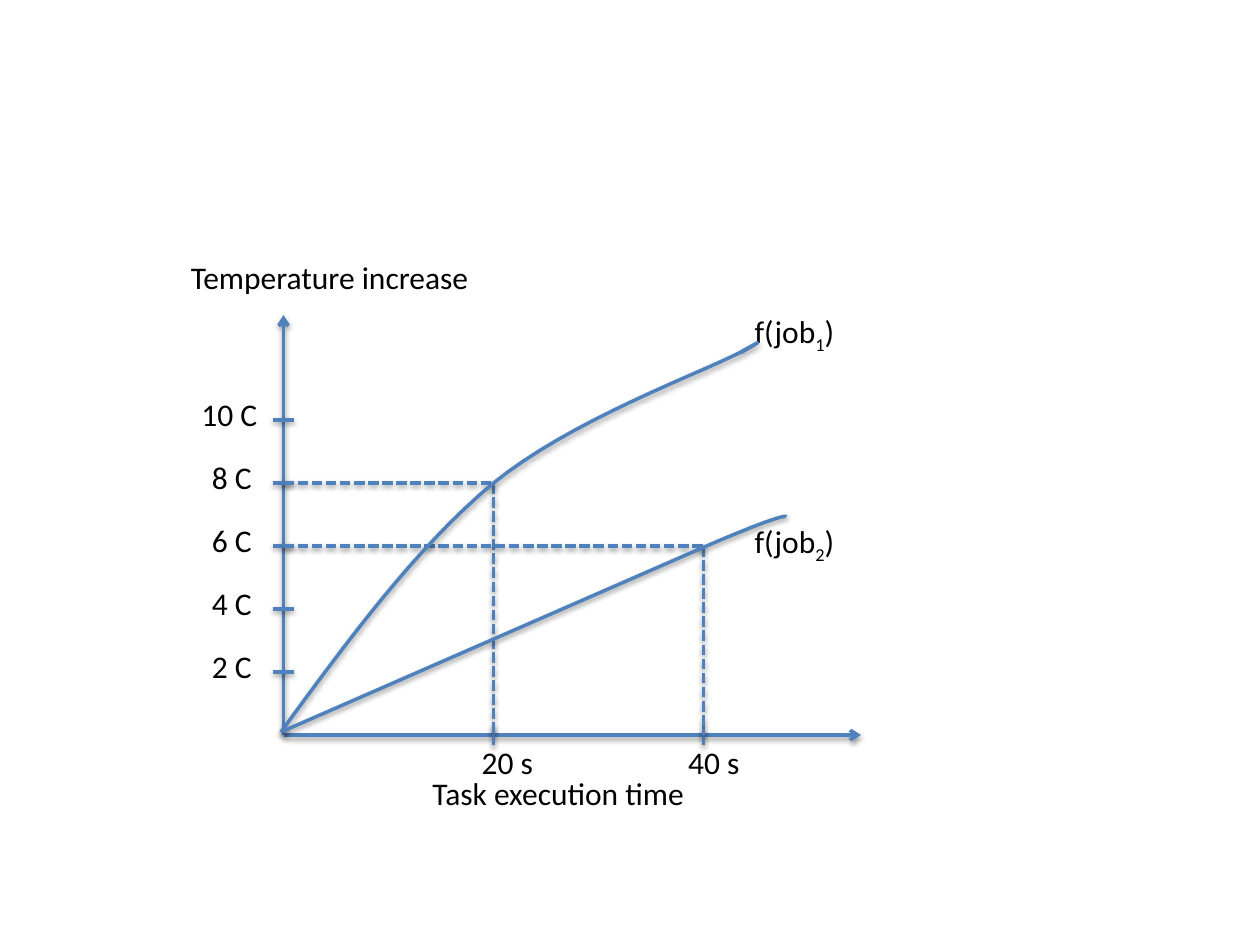
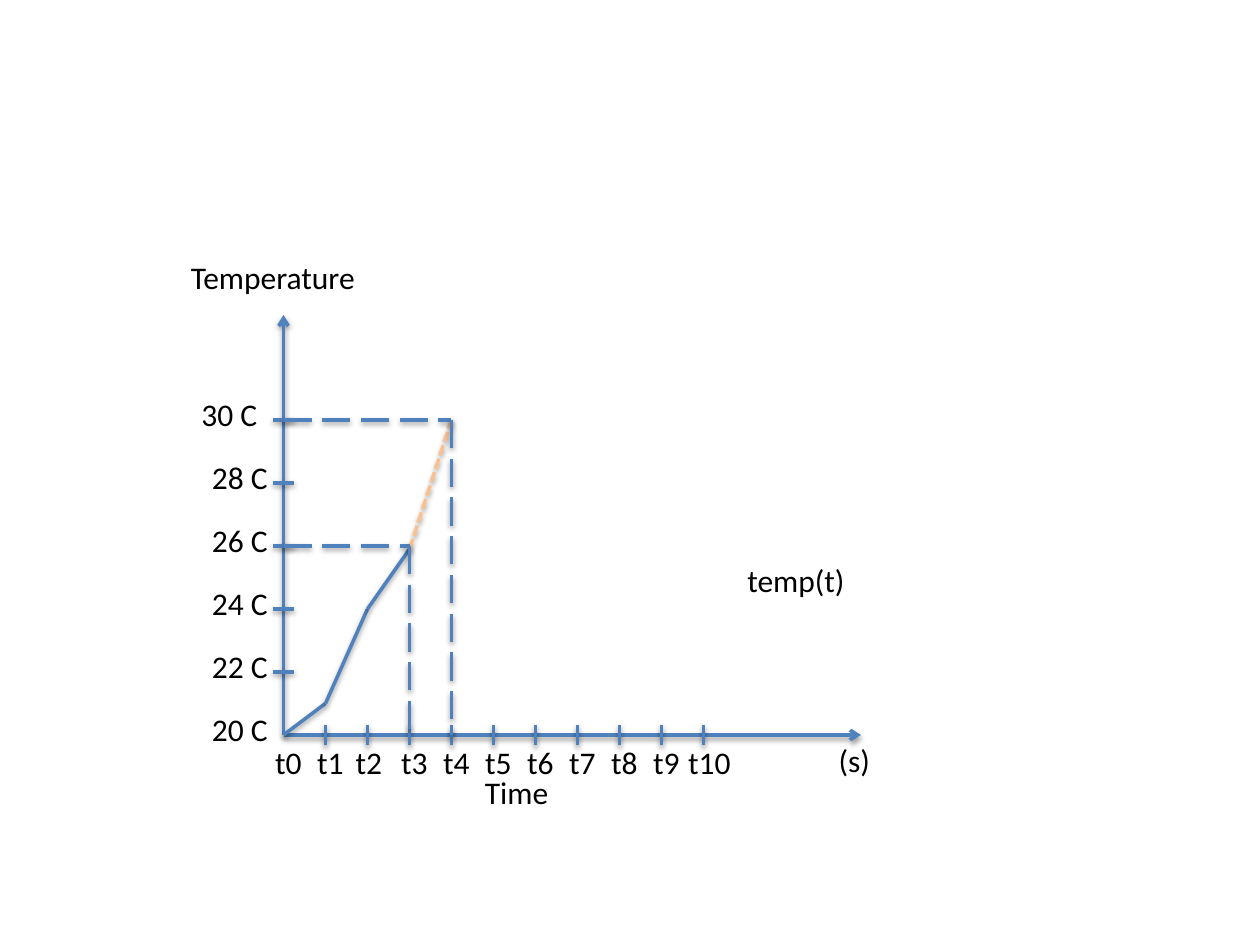
from lxml import etree
from pptx import Presentation
from pptx.dml.color import RGBColor
from pptx.enum import dml, shapes, text
from pptx.oxml import ns, parse_xml
from pptx.util import Pt

BLUE = RGBColor(0x4F, 0x81, 0xBD)
PEACH = RGBColor(0xFA, 0xC0, 0x90)
BLACK = RGBColor(0, 0, 0)
SHORT = dml.MSO_LINE.SQUARE_DOT
LONG = dml.MSO_LINE.LONG_DASH

LEFT, BASE = 162, 420
STEP, RISE = 24, 36
TICK = 6

SHADOW = (
    f'<a:effectLst {ns.nsdecls("a")}>'
    f'<a:outerShdw blurRad="{Pt(3.1)}" dist="{Pt(1.6)}" dir="5400000" rotWithShape="0">'
    '<a:srgbClr val="000000"><a:alpha val="38000"/></a:srgbClr>'
    '</a:outerShdw></a:effectLst>'
)


def place(col, row):
    return LEFT + STEP * col, BASE - RISE * row


def ink(shape, color=BLUE, dash=None, arrow=False):
    line = shape.line
    line.color.rgb = color
    line.width = Pt(2)
    if dash:
        line.dash_style = dash
    props = shape._element.spPr
    if arrow:
        etree.SubElement(props.find(ns.qn("a:ln")), ns.qn("a:tailEnd"), type="arrow")
    props.append(parse_xml(SHADOW))


def rule(slide, start, end, **style):
    ends = [Pt(v) for v in (*start, *end)]
    ink(slide.shapes.add_connector(shapes.MSO_CONNECTOR.STRAIGHT, *ends), **style)


def label(slide, x, y, width, words, inset=0, sub="", rest=""):
    box = slide.shapes.add_textbox(Pt(x), Pt(y), Pt(width), Pt(29))
    frame = box.text_frame
    frame.word_wrap = True
    frame.auto_size = text.MSO_AUTO_SIZE.SHAPE_TO_FIT_TEXT
    frame.margin_left = Pt(7.2 + inset)
    para = frame.paragraphs[0]
    para.font.name, para.font.size = "Calibri", Pt(18)
    para.font.color.rgb = BLACK
    para.add_run().text = words
    if sub:
        low = para.add_run()
        low.text = sub
        low._r.get_or_add_rPr().set("baseline", "-25000")
        para.add_run().text = rest


def bend(a, b, c, d, count=16):
    for n in range(1, count + 1):
        t = n / count
        s = 1 - t
        yield tuple(s**3 * p + 3 * s * s * t * q + 3 * s * t * t * r + t**3 * e
                    for p, q, r, e in zip(a, b, c, d))


def curve(slide, points):
    first, *more = [(Pt(x), Pt(y)) for x, y in points]
    pen = slide.shapes.build_freeform(*first)
    pen.add_line_segments(more, close=False)
    shape = pen.convert_to_shape()
    shape.fill.background()
    ink(shape)


def axes(slide, title, marks, cols):
    rule(slide, (LEFT, BASE), (492, BASE), arrow=True)
    rule(slide, (LEFT, BASE), (LEFT, 180), arrow=True)
    label(slide, 102, 144, 210, title)
    for row, mark in marks.items():
        x, y = place(0, row)
        if row:
            rule(slide, (x - TICK, y), (x + TICK, y))
        label(slide, 108 if row == 5 else 114, y - 18, 54, mark)
    for col in cols:
        x, y = place(col, 0)
        rule(slide, (x, y - TICK), (x, y + TICK))


def drop(slide, col, row, dash):
    spot = place(col, row)
    rule(slide, place(0, row), spot, dash=dash)
    rule(slide, spot, place(col, 0), dash=dash)


def jobs(slide):
    axes(slide, "Temperature increase", {n: f"{2 * n} C" for n in range(1, 6)}, (5, 10))
    label(slide, 264, 421, 60, "20 s", 4)
    label(slide, 378, 421, 60, "40 s", 8)
    label(slide, 240, 439, 228, "Task execution time")
    drop(slide, 5, 4, SHORT)
    drop(slide, 10, 3, SHORT)
    label(slide, 420, 175, 90, "f(job", 4, "1", ")")
    label(slide, 420, 295, 72, "f(job", 4, "2", ")")
    start, knee, top, tip = (160.6, 418.3), (281.5, 276.5), (422.6, 201.6), (423.4, 201.6)
    curve(slide, [start,
                  *bend(start, (199.4, 365), (238.3, 312.5), knee),
                  *bend(knee, (325.4, 240.5), (398.9, 213.8), top),
                  *bend(top, (445.7, 188.6), tip, tip)])
    turn, end = (401, 313.2), (449.3, 295.2)
    curve(slide, [start, turn, *bend(turn, (449.3, 292.3), end, end)])


def temps(slide):
    axes(slide, "Temperature", {n: f"{20 + 2 * n} C" for n in range(6)}, range(1, 11))
    insets = {2: 10, 10: 8}
    for col in range(11):
        label(slide, LEFT + STEP * (col - 1), 421, 60, f"t{col}", insets.get(col, 12))
    label(slide, 468, 420, 72, "(s)", 4)
    label(slide, 270, 438, 228, "Time")
    label(slide, 420, 317, 72, "temp(t)")
    path = [place(col, row) for col, row in enumerate((0, 0.5, 2, 2.95))]
    for start, end in zip(path, path[1:]):
        rule(slide, start, end)
    rule(slide, path[-1], place(4, 5), color=PEACH, dash=SHORT)
    drop(slide, 4, 5, LONG)
    drop(slide, 3, 3, LONG)


def main():
    deck = Presentation()
    deck.slide_width, deck.slide_height = Pt(720), Pt(540)
    for draw in (jobs, temps):
        draw(deck.slides.add_slide(deck.slide_layouts[6]))
    deck.save("out.pptx")


if __name__ == "__main__":
    main()
